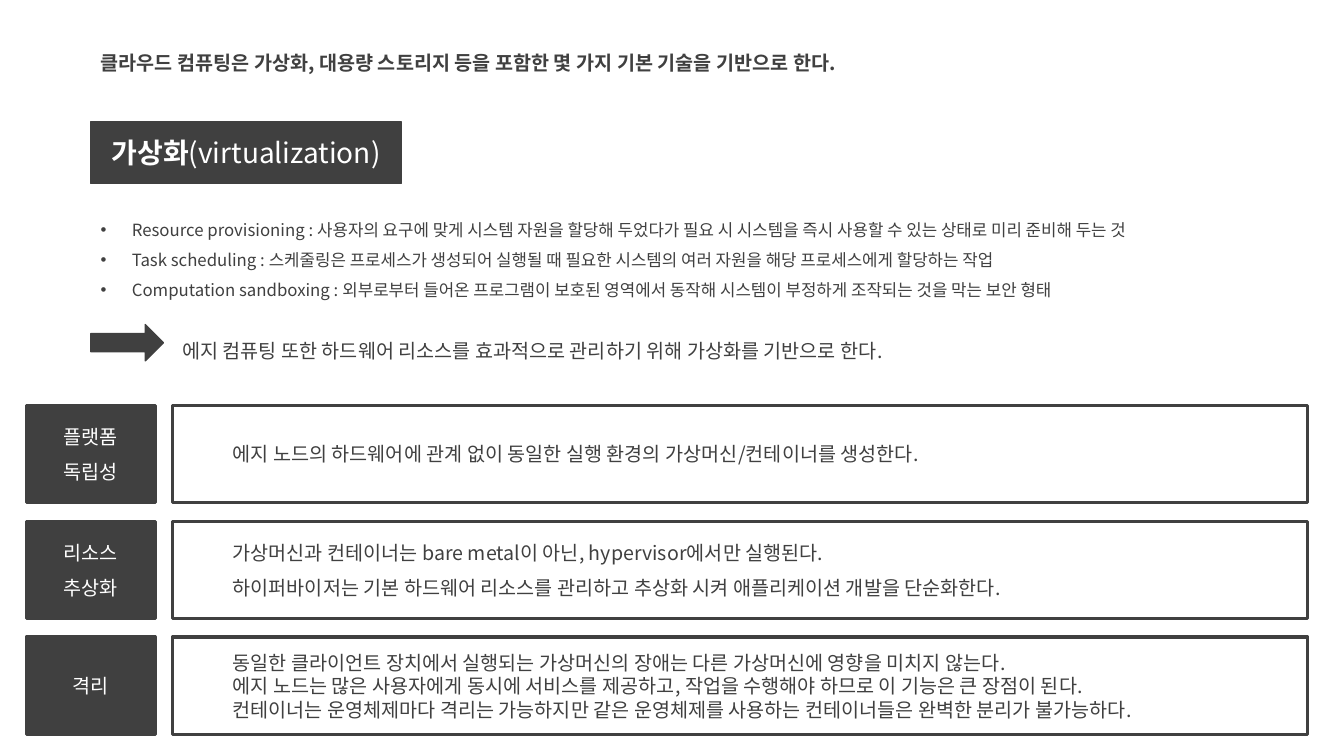
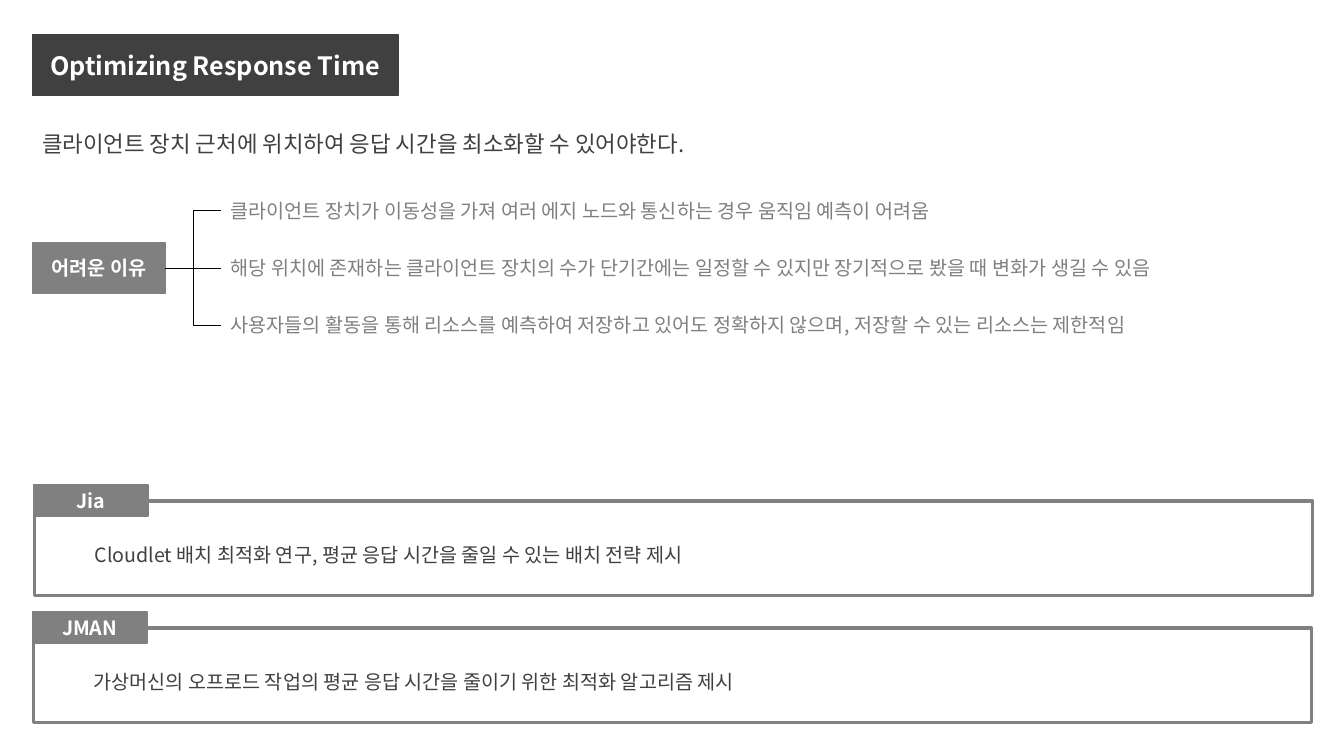
"""Build two slides on virtualization and response time in edge computing."""
from dataclasses import dataclass

from lxml import etree
from pptx import Presentation, util as u
from pptx.dml.color import RGBColor
from pptx.enum import shapes, text
from pptx.oxml.ns import qn

VIRTUALIZATION = {
    "intro": "클라우드 컴퓨팅은 가상화, 대용량 스토리지 등을 포함한 몇 가지 기본 기술을 기반으로 한다.",
    "title": [("가상화", True), ("(virtualization)", False)],
    "bullets": [
        "Resource provisioning : 사용자의 요구에 맞게 시스템 자원을 할당해 두었다가 필요 시 시스템을 즉시 사용할 수 있는 상태로 미리 준비해 두는 것",
        "Task scheduling : 스케줄링은 프로세스가 생성되어 실행될 때 필요한 시스템의 여러 자원을 해당 프로세스에게 할당하는 작업",
        "Computation sandboxing : 외부로부터 들어온 프로그램이 보호된 영역에서 동작해 시스템이 부정하게 조작되는 것을 막는 보안 형태",
    ],
    "conclusion": "에지 컴퓨팅 또한 하드웨어 리소스를 효과적으로 관리하기 위해 가상화를 기반으로 한다.",
    "features": [
        (["플랫폼", "독립성"],
         ["에지 노드의 하드웨어에 관계 없이 동일한 실행 환경의 가상머신/컨테이너를 생성한다."], 1),
        (["리소스", "추상화"],
         ["가상머신과 컨테이너는 bare metal이 아닌, hypervisor에서만 실행된다.",
          "하이퍼바이저는 기본 하드웨어 리소스를 관리하고 추상화 시켜 애플리케이션 개발을 단순화한다."], 1.5),
        (["격리"],
         ["동일한 클라이언트 장치에서 실행되는 가상머신의 장애는 다른 가상머신에 영향을 미치지 않는다.",
          "에지 노드는 많은 사용자에게 동시에 서비스를 제공하고, 작업을 수행해야 하므로 이 기능은 큰 장점이 된다.",
          "컨테이너는 운영체제마다 격리는 가능하지만 같은 운영체제를 사용하는 컨테이너들은 완벽한 분리가 불가능하다."], 1),
    ],
}
RESPONSE_TIME = {
    "title": "Optimizing Response Time",
    "goal": "클라이언트 장치 근처에 위치하여 응답 시간을 최소화할 수 있어야한다.",
    "cause": "어려운 이유",
    "reasons": [
        ("클라이언트 장치가 이동성을 가져 여러 에지 노드와 통신하는 경우 움직임 예측이 어려움", 8.02),
        ("해당 위치에 존재하는 클라이언트 장치의 수가 단기간에는 일정할 수 있지만 장기적으로 봤을 때 변화가 생길 수 있음", 10.52),
        ("사용자들의 활동을 통해 리소스를 예측하여 저장하고 있어도 정확하지 않으며, 저장할 수 있는 리소스는 제한적임", 10.17),
    ],
    "studies": [
        ("Jia", "Cloudlet 배치 최적화 연구, 평균 응답 시간을 줄일 수 있는 배치 전략 제시", 0.33),
        ("JMAN", "가상머신의 오프로드 작업의 평균 응답 시간을 줄이기 위한 최적화 알고리즘 제시", 0.32),
    ],
}


@dataclass(frozen=True)
class Theme:
    """Colours, font and type sizes."""
    dark: RGBColor = RGBColor(0x40, 0x40, 0x40)
    grey: RGBColor = RGBColor(0x80, 0x80, 0x80)
    white: RGBColor = RGBColor(0xFF, 0xFF, 0xFF)
    black: RGBColor = RGBColor(0, 0, 0)
    font: str = "Noto Sans CJK KR"
    large_title: int = 20
    title: int = 18
    lead: int = 16
    body: int = 14
    bullet: int = 12
    thin: float = 0.5
    outline: float = 1
    frame: float = 2.25


THEME = Theme()


def write_text(shape, paragraphs, size=THEME.body, color=THEME.dark, bold=False,
               align=None, first_spacing=None, spacing=None, indent=0, bullet=False):
    """Fill a shape with paragraphs, each a string or a list of (text, bold) runs."""
    frame = shape.text_frame
    frame.word_wrap = True
    for index, content in enumerate(paragraphs):
        paragraph = frame.paragraphs[0] if index == 0 else frame.add_paragraph()
        paragraph.alignment = align
        paragraph.line_spacing = spacing if index else first_spacing
        properties = paragraph._p.get_or_add_pPr()
        properties.set("marL", str(u.Inches(indent)))
        if bullet:
            properties.set("indent", str(-u.Inches(indent)))
            etree.SubElement(properties, qn("a:buFont")).set("typeface", "Arial")
            etree.SubElement(properties, qn("a:buChar")).set("char", "•")
        for words, weight in [(content, bold)] if isinstance(content, str) else content:
            run = paragraph.add_run()
            run.text = words
            run.font.size = u.Pt(size)
            run.font.bold = weight
            run.font.color.rgb = color
            run.font.name = THEME.font
            etree.SubElement(run._r.rPr, qn("a:ea")).set("typeface", THEME.font)


def add_text(slide, left, top, width, height, paragraphs, **style):
    """Add a text box that grows with its text."""
    box = slide.shapes.add_textbox(*map(u.Inches, (left, top, width, height)))
    write_text(box, paragraphs, **style)
    box.text_frame.auto_size = text.MSO_AUTO_SIZE.SHAPE_TO_FIT_TEXT
    return box


def add_block(slide, left, top, width, height, paragraphs=(), fill=None, line=THEME.dark,
              line_width=THEME.outline, kind=shapes.MSO_SHAPE.RECTANGLE, **style):
    """Add an outlined shape, filled when a fill is given."""
    shape = slide.shapes.add_shape(kind, *map(u.Inches, (left, top, width, height)))
    shape.shadow.inherit = False
    if fill is None:
        shape.fill.background()
    else:
        shape.fill.solid()
        shape.fill.fore_color.rgb = fill
    shape.line.color.rgb = line
    shape.line.width = u.Pt(line_width)
    shape.text_frame.vertical_anchor = text.MSO_ANCHOR.MIDDLE
    write_text(shape, paragraphs, **style)
    return shape


def add_label(slide, left, top, width, height, paragraphs, fill=THEME.dark, **style):
    """Add a solid block with centred white text."""
    return add_block(slide, left, top, width, height, paragraphs, fill=fill, line=fill,
                     color=THEME.white, align=text.PP_ALIGN.CENTER, **style)


def add_panel(slide, left, top, width, height, paragraphs, **style):
    """Add a framed block with indented text."""
    return add_block(slide, left, top, width, height, paragraphs, line_width=THEME.frame,
                     align=text.PP_ALIGN.LEFT, indent=0.5, **style)


def add_branch(slide, source, target):
    """Join the right side of one shape to the left side of another."""
    branch = slide.shapes.add_connector(shapes.MSO_CONNECTOR.ELBOW, 0, 0, 0, 0)
    branch.begin_connect(source, 3)
    branch.end_connect(target, 1)
    branch.line.color.rgb = THEME.black
    branch.line.width = u.Pt(THEME.thin)
    etree.SubElement(branch._element.spPr, qn("a:effectLst"))


def build_virtualization(slide, content):
    """Place the virtualization overview and its feature rows."""
    left, row_top, row_step, row_height = 0.9, 4.02, 1.15, 0.97
    add_label(slide, left, 1.21, 3.08, 0.61, [content["title"]], size=THEME.large_title)
    add_text(slide, left, 0.34, 8.44, 0.41, [content["intro"]], bold=True, first_spacing=1.5)
    add_text(slide, left, 2.03, 11.53, 0.97, content["bullets"], size=THEME.bullet,
             first_spacing=1.5, spacing=1.5, indent=0.31, bullet=True)
    add_block(slide, left, 3.22, 0.72, 0.36, fill=THEME.dark, kind=shapes.MSO_SHAPE.RIGHT_ARROW)
    add_text(slide, 1.71, 3.2, 8.07, 0.41, [content["conclusion"]], first_spacing=1.5)
    for index, (label, lines, spacing) in enumerate(content["features"]):
        top = row_top + index * row_step
        add_panel(slide, 1.71, top, 11.26, row_height, lines, spacing=spacing)
        add_label(slide, 0.26, top, 1.28, row_height, label, spacing=1.5, line_width=THEME.frame)


def build_response_time(slide, content):
    """Place the goal, the branching reasons and the studies."""
    left, reason_top, reason_step, study_top, study_step = 0.32, 1.92, 0.57, 4.81, 1.26
    add_label(slide, left, 0.34, 3.63, 0.61, [content["title"]], size=THEME.title, bold=True)
    add_text(slide, left, 1.24, 7.34, 0.37, [content["goal"]], size=THEME.lead)
    cause = add_label(slide, left, 2.41, 1.32, 0.5, [content["cause"]], fill=THEME.grey, bold=True)
    for index, (reason, width) in enumerate(content["reasons"]):
        box = add_text(slide, 2.19, reason_top + index * reason_step, width, 0.34, [reason],
                       color=THEME.grey)
        add_branch(slide, cause, box)
    for index, (name, finding, tag_left) in enumerate(content["studies"]):
        top = study_top + index * study_step
        add_panel(slide, tag_left + 0.01, top + 0.16, 12.68, 0.94, [finding], fill=THEME.white,
                  line=THEME.grey, first_spacing=1.5)
        add_label(slide, tag_left, top, 1.14, 0.31, [name], fill=THEME.grey, bold=True)


presentation = Presentation()
presentation.slide_width, presentation.slide_height = u.Inches(13.33), u.Inches(7.5)
for build, content in ((build_virtualization, VIRTUALIZATION), (build_response_time, RESPONSE_TIME)):
    build(presentation.slides.add_slide(presentation.slide_layouts[6]), content)
presentation.save("out.pptx")
